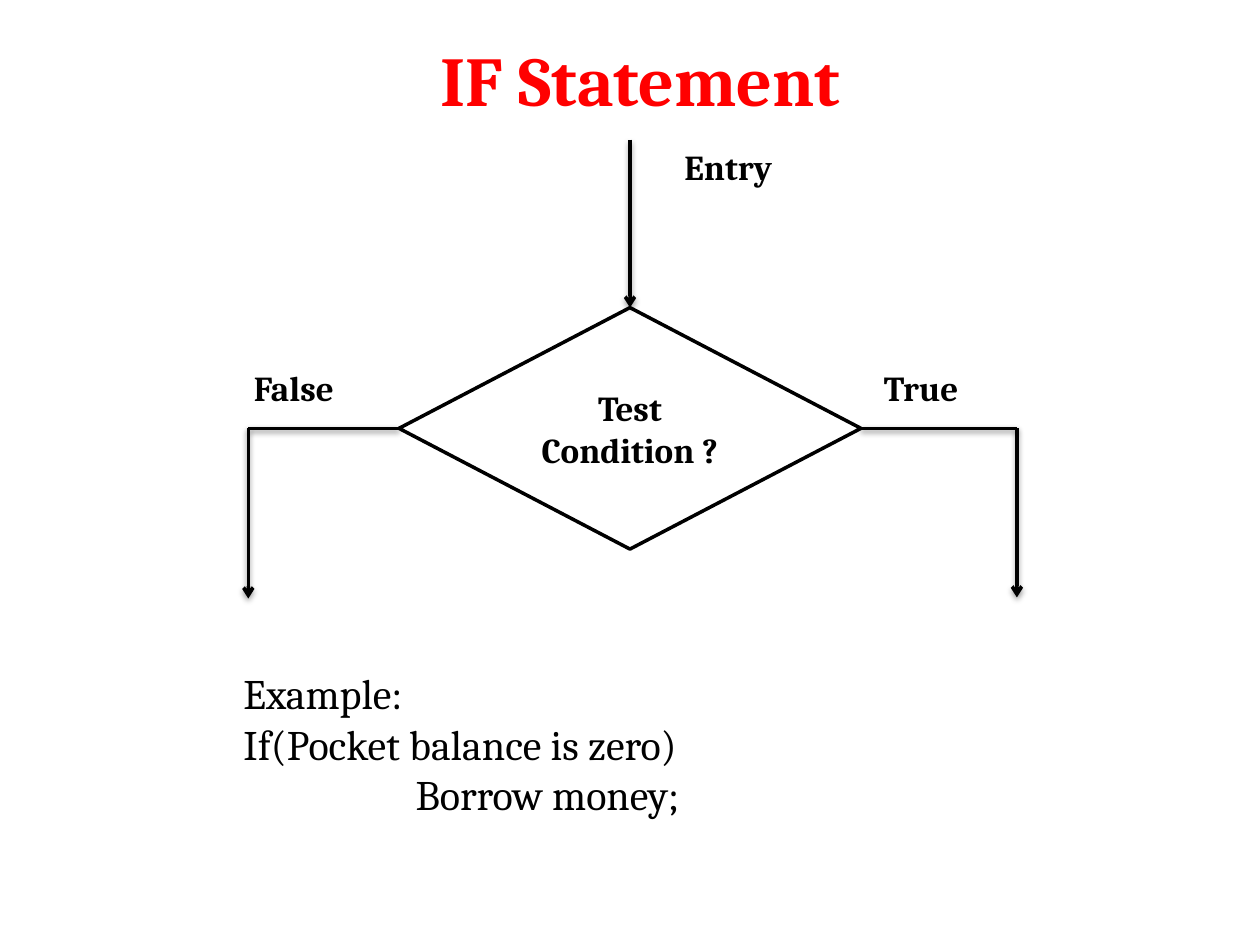
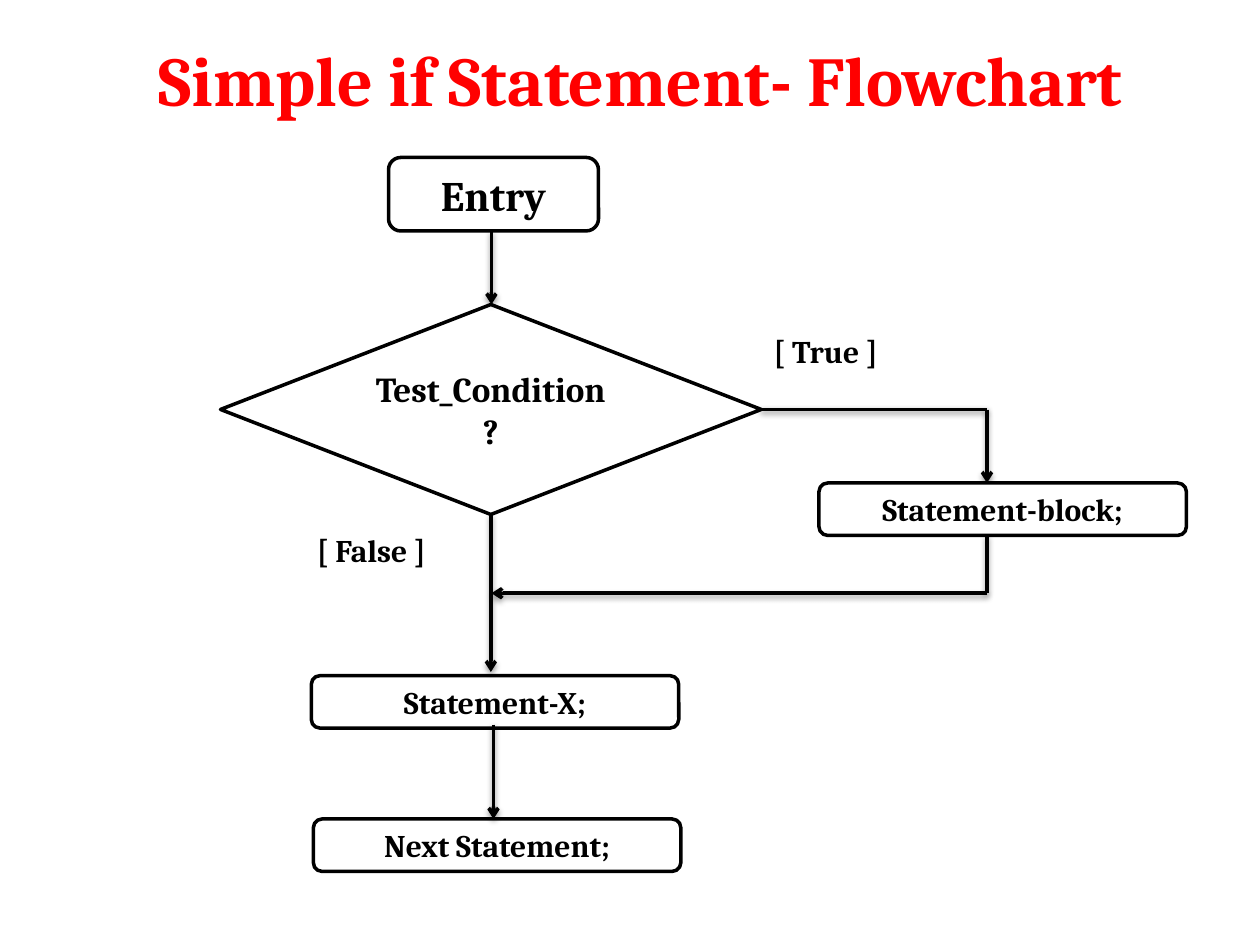
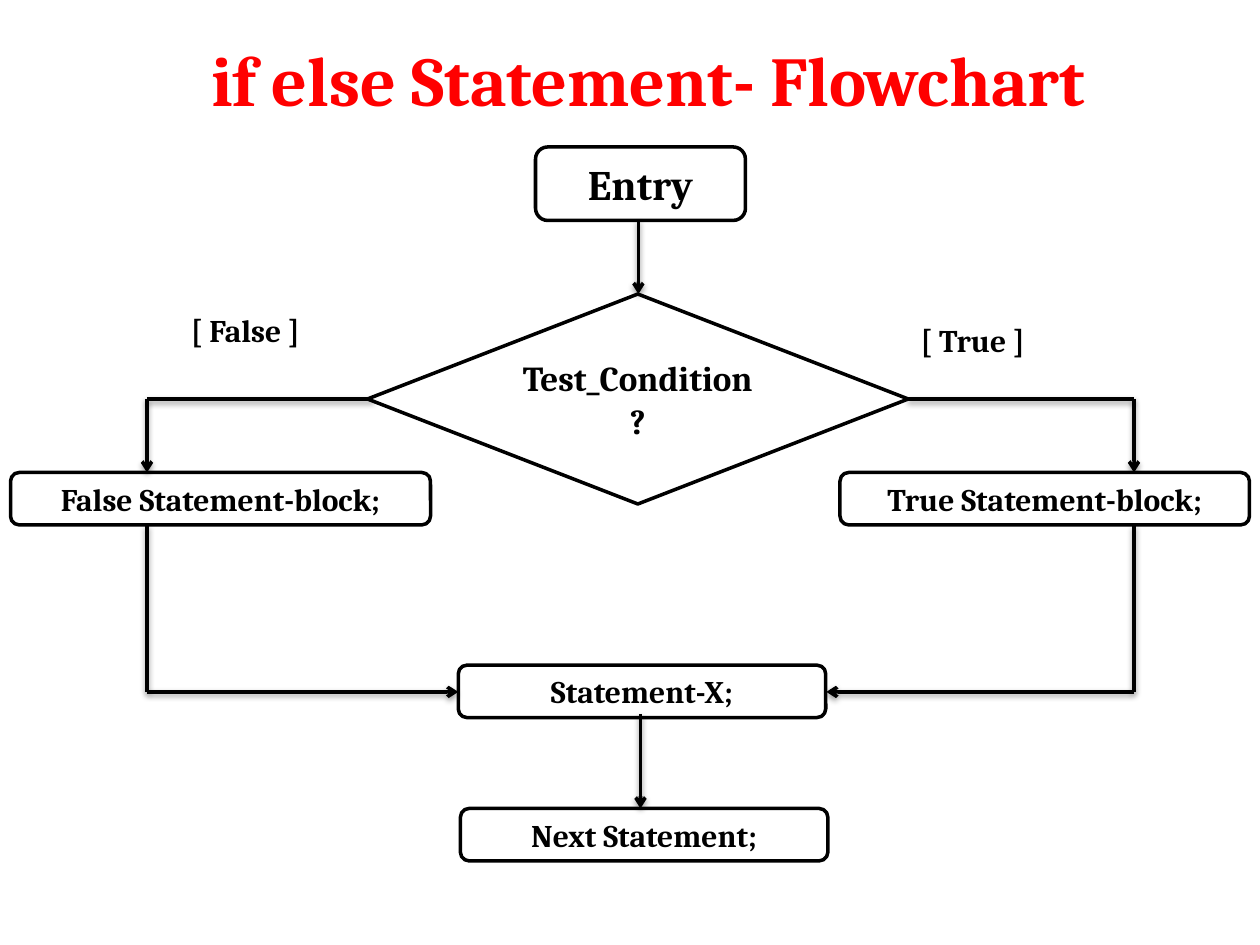
from dataclasses import dataclass, field, replace
from itertools import pairwise

import pptx
import pptx.dml.color
import pptx.enum.shapes
import pptx.enum.text
import pptx.oxml
import pptx.oxml.ns
import pptx.util

Form = pptx.enum.shapes.MSO_SHAPE
Align = pptx.enum.text.PP_ALIGN
Fit = pptx.enum.text.MSO_AUTO_SIZE
Rgb = pptx.dml.color.RGBColor

# Grid: square cells, twelve to the inch
WIDE, HIGH = pptx.util.Inches(10), pptx.util.Inches(7.5)
COLS, ROWS = 120, 90


@dataclass(frozen=True)
class Theme:
    font: str = "Cambria"
    ink: Rgb = field(default_factory=lambda: Rgb(0, 0, 0))
    paper: Rgb = field(default_factory=lambda: Rgb(255, 255, 255))
    accent: Rgb = field(default_factory=lambda: Rgb(255, 0, 0))
    title: int = 40
    large: int = 24
    medium: int = 20
    small: int = 18
    stroke: int = 2


THEME = Theme()


@dataclass(frozen=True)
class Node:
    """A flowchart shape, placed in columns and rows."""
    text: str
    col: float
    row: float
    cols: float = 35
    rows: float = 5
    size: int = THEME.small
    form: Form = Form.ROUNDED_RECTANGLE


@dataclass(frozen=True)
class Label:
    """Free text beside the flow."""
    text: str
    col: float
    row: float
    cols: float = 16.5
    rows: float = 5
    size: int = THEME.small


@dataclass(frozen=True)
class Wire:
    """A chain of straight lines through grid points."""
    points: tuple[tuple[float, float], ...]
    arrow: bool = True


Part = Node | Label | Wire


def grid_x(col: float) -> int:
    return round(WIDE * col / COLS)


def grid_y(row: float) -> int:
    return round(HIGH * row / ROWS)


def area(col: float, row: float, cols: float, rows: float) -> tuple[int, ...]:
    return grid_x(col), grid_y(row), grid_x(cols), grid_y(rows)


def write(para, text: str, size: int, color: Rgb = THEME.ink, bold: bool = True) -> None:
    run = para.add_run()
    run.text = text
    font = run.font
    font.name, font.size, font.bold = THEME.font, pptx.util.Pt(size), bold
    font.color.rgb = color


# Drawing of the parts
def draw_node(slide, node: Node) -> None:
    shape = slide.shapes.add_shape(
        node.form, *area(node.col, node.row, node.cols, node.rows))
    shape.shadow.inherit = False
    shape.fill.solid()
    shape.fill.fore_color.rgb = THEME.paper
    shape.line.color.rgb = THEME.ink
    shape.line.width = pptx.util.Pt(THEME.stroke)
    para = shape.text_frame.paragraphs[0]
    para.alignment = Align.CENTER
    write(para, node.text, node.size)


def add_text(slide, col: float, row: float, cols: float, rows: float):
    frame = slide.shapes.add_textbox(*area(col, row, cols, rows)).text_frame
    frame.word_wrap = True
    frame.auto_size = Fit.SHAPE_TO_FIT_TEXT
    return frame


def draw_label(slide, label: Label) -> None:
    frame = add_text(slide, label.col, label.row, label.cols, label.rows)
    write(frame.paragraphs[0], label.text, label.size)


def draw_wire(slide, wire: Wire) -> None:
    # The template's own line style gives each wire its soft shadow
    for (x1, y1), (x2, y2) in pairwise(wire.points):
        line = slide.shapes.add_connector(
            pptx.enum.shapes.MSO_CONNECTOR.STRAIGHT,
            grid_x(x1), grid_y(y1), grid_x(x2), grid_y(y2)).line
        line.color.rgb = THEME.ink
        line.width = pptx.util.Pt(THEME.stroke)
    if wire.arrow:
        tip = pptx.oxml.parse_xml(
            f'<a:tailEnd {pptx.oxml.ns.nsdecls("a")} type="arrow"/>')
        line._get_or_add_ln().append(tip)


DRAW = {Node: draw_node, Label: draw_label, Wire: draw_wire}


def add_slide(deck, title: str, parts: list[Part]):
    slide = deck.slides.add_slide(deck.slide_layouts[5])
    head = slide.shapes.title
    head.left, head.top, head.width, head.height = area(7, 0, 108, 15)
    head.text_frame.auto_size = Fit.NONE
    para = head.text_frame.paragraphs[0]
    para.alignment = Align.CENTER
    write(para, title, THEME.title, THEME.accent)
    for part in parts:
        DRAW[type(part)](slide, part)
    return slide


# Flow shared by both flowcharts
def shift(part: Part, dx: float, dy: float) -> Part:
    if isinstance(part, Wire):
        return replace(part, points=tuple((x + dx, y + dy) for x, y in part.points))
    return replace(part, col=part.col + dx, row=part.row + dy)


def trunk(dx: float = 0, dy: float = 0) -> list[Part]:
    parts = [
        Node("Entry", 37, 15, 20, 7, THEME.large),
        Node("Test_Condition ?", 21, 29, 51.5, 20, THEME.medium, Form.DIAMOND),
        Node("Statement-X;", 29.65, 64.35),
        Node("Next Statement;", 29.85, 78),
        Wire(((46.8, 22), (46.8, 29))),
        Wire(((47, 69), (47, 78))),
        Wire(((72.5, 39), (94, 39), (94, 46))),
        Label("[ True ]", 72.5, 31),
    ]
    return [shift(part, dx, dy) for part in parts]


# Slides
def if_slide(deck) -> None:
    mid = 40.8
    slide = add_slide(deck, "IF Statement", [
        Node("Test Condition ?", 38, 29.3, 44, 23, THEME.medium, Form.DIAMOND),
        Wire(((60, 13.3), (60, 29.3))),
        Wire(((38, mid), (23.65, mid), (23.65, 57))),
        Wire(((82, mid), (96.85, mid), (96.85, 56.9))),
        *(Label(text, col, row, 18, 5.25, THEME.medium) for text, col, row in (
            ("Entry", 64, 13.3), ("True", 83, 34.3), ("False", 23, 34.3))),
    ])
    frame = add_text(slide, 22, 63, 95, 15.75)
    lines = ("Example:", "If(Pocket balance is zero)", "Borrow money;")
    for spot, text in enumerate(lines):
        para = frame.add_paragraph() if spot else frame.paragraphs[0]
        write(para, text, THEME.large, bold=False)
    para._p.get_or_add_pPr().set("marL", str(grid_x(16.4)))


def simple_slide(deck) -> None:
    add_slide(deck, "Simple if Statement- Flowchart", [
        *trunk(),
        Node("Statement-block;", 78, 46),
        Wire(((46.75, 49), (46.75, 64))),
        Wire(((94, 51), (94, 56.5), (46.8, 56.5))),
        Label("[ False ]", 29, 50),
    ])


def else_slide(deck) -> None:
    join = 65.9
    add_slide(deck, " if else Statement- Flowchart", [
        *trunk(14, -1),
        Node("True Statement-block;", 80, 45, 39),
        Node("False Statement-block;", 1, 45, 40),
        Wire(((35.5, 38), (14, 38), (14, 45))),
        Wire(((14, 50), (14, join), (43.65, join))),
        Wire(((108, 50), (108, join), (78.7, join))),
        Label("[ False ]", 17, 29),
    ])


def main() -> None:
    deck = pptx.Presentation()
    deck.slide_width, deck.slide_height = WIDE, HIGH
    for build in (if_slide, simple_slide, else_slide):
        build(deck)
    deck.save("out.pptx")


if __name__ == "__main__":
    main()
